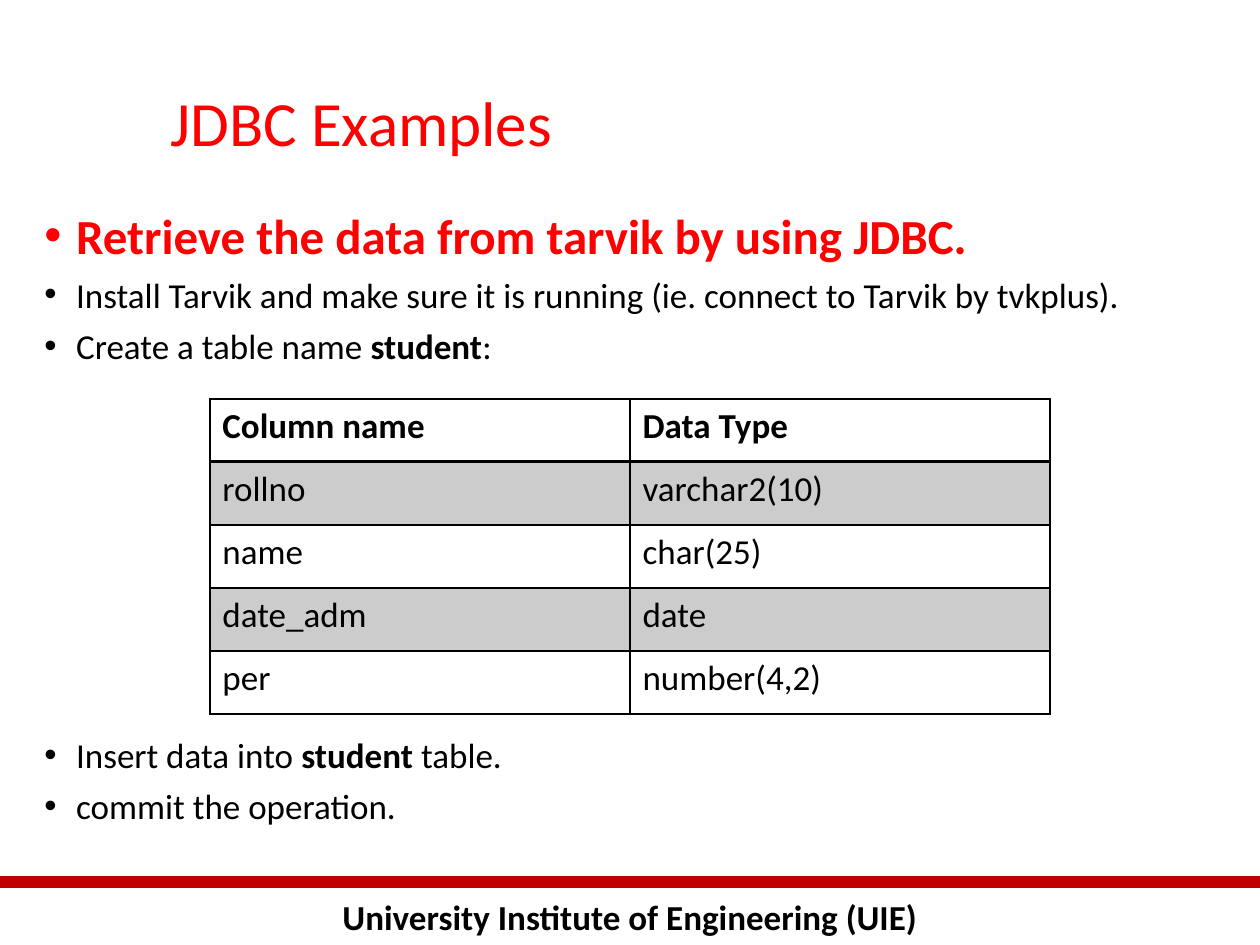
from lxml.etree import SubElement
from pptx import Presentation
from pptx.dml.color import RGBColor
from pptx.enum.shapes import MSO_CONNECTOR
from pptx.enum.text import MSO_ANCHOR, MSO_AUTO_SIZE, PP_ALIGN
from pptx.oxml.ns import qn
from pptx.util import Cm, Pt


def rgb(hex_color):
    return RGBColor.from_string(hex_color)


def add_text(p, text, size=20, color="000000", bold=False):
    r = p.add_run()
    r.text = text
    r.font.name = "Calibri"
    r.font.size = Pt(size)
    r.font.bold = bold
    r.font.color.rgb = rgb(color)


prs = Presentation()
prs.slide_width, prs.slide_height = Cm(25.4), Cm(19.05)
s = prs.slides.add_slide(prs.slide_layouts[1])

# Footer
sp = s.shapes.add_textbox(0, Cm(17.93), prs.slide_width, Cm(1.12))
sp.text_frame.word_wrap = True
p = sp.text_frame.paragraphs[0]
p.alignment = PP_ALIGN.CENTER
add_text(p, "University Institute of Engineering (UIE)", bold=True)

rule = s.shapes.add_connector(MSO_CONNECTOR.STRAIGHT, 0, Cm(17.78), prs.slide_width, Cm(17.78))
rule.line.color.rgb = rgb("C00000")
rule.line.width = Pt(7)
SubElement(rule._element.spPr, qn("a:effectLst"))

# Title
title = s.shapes.title
title.left, title.top, title.width, title.height = Cm(3.18), Cm(1.7), Cm(20.52), Cm(1.7)
tf = title.text_frame
tf.auto_size = MSO_AUTO_SIZE.NONE
tf.vertical_anchor = MSO_ANCHOR.MIDDLE
p = tf.paragraphs[0]
p.alignment = PP_ALIGN.LEFT
p.line_spacing = 0.9
add_text(p, "JDBC Examples", size=36, color="FF0000")

# Bullets: space before, then runs as (text, format)
bullets = [
    (10, [("Retrieve the data from tarvik by using JDBC.",
           dict(size=28, color="FF0000", bold=True))]),
    (10, [("Install Tarvik and make sure it is running (ie. connect to Tarvik by tvkplus).", {})]),
    (10, [("Create a table name ", {}), ("student", dict(bold=True)), (":", {})]),
    (214.5, [("Insert data into ", {}), ("student ", dict(bold=True)), ("table.", {})]),
    (10, [("commit the operation.", {})]),
]
body = s.placeholders[1]
body.left, body.top, body.width, body.height = Cm(0.64), Cm(4.24), Cm(23.7), Cm(13.13)
tf = body.text_frame
tf.auto_size = MSO_AUTO_SIZE.NONE
for i, (space, runs) in enumerate(bullets):
    p = tf.add_paragraph() if i else tf.paragraphs[0]
    p.alignment = PP_ALIGN.JUSTIFY
    p.line_spacing = 0.8
    p.space_before = Pt(space)
    pPr = p._p.get_or_add_pPr()
    pPr.set("marL", str(Cm(0.64)))
    pPr.set("indent", str(Cm(-0.64)))
    for text, fmt in runs:
        add_text(p, text, **fmt)

# Table of columns
rows = [
    ("Column name", "Data Type"),
    ("rollno", "varchar2(10)"),
    ("name", "char(25)"),
    ("date_adm", "date"),
    ("per", "number(4,2)"),
]
table = s.shapes.add_table(len(rows), 2, Cm(4.23), Cm(8.04), Cm(16.94), Cm(6.35)).table
table.first_row = table.horz_banding = False
for i, row in enumerate(rows):
    for j, text in enumerate(row):
        cell = table.cell(i, j)
        add_text(cell.text_frame.paragraphs[0], text, bold=i == 0)
        tcPr = cell._tc.get_or_add_tcPr()
        for side in "LRTB":
            under_header = (i, side) in [(0, "B"), (1, "T")]
            ln = SubElement(tcPr, qn("a:ln" + side), w=str(Pt(2 if under_header else 1)))
            SubElement(SubElement(ln, qn("a:solidFill")), qn("a:srgbClr"), val="000000")
        cell.fill.solid()
        cell.fill.fore_color.rgb = rgb("CCCCCC" if i % 2 else "FFFFFF")

prs.save("out.pptx")
